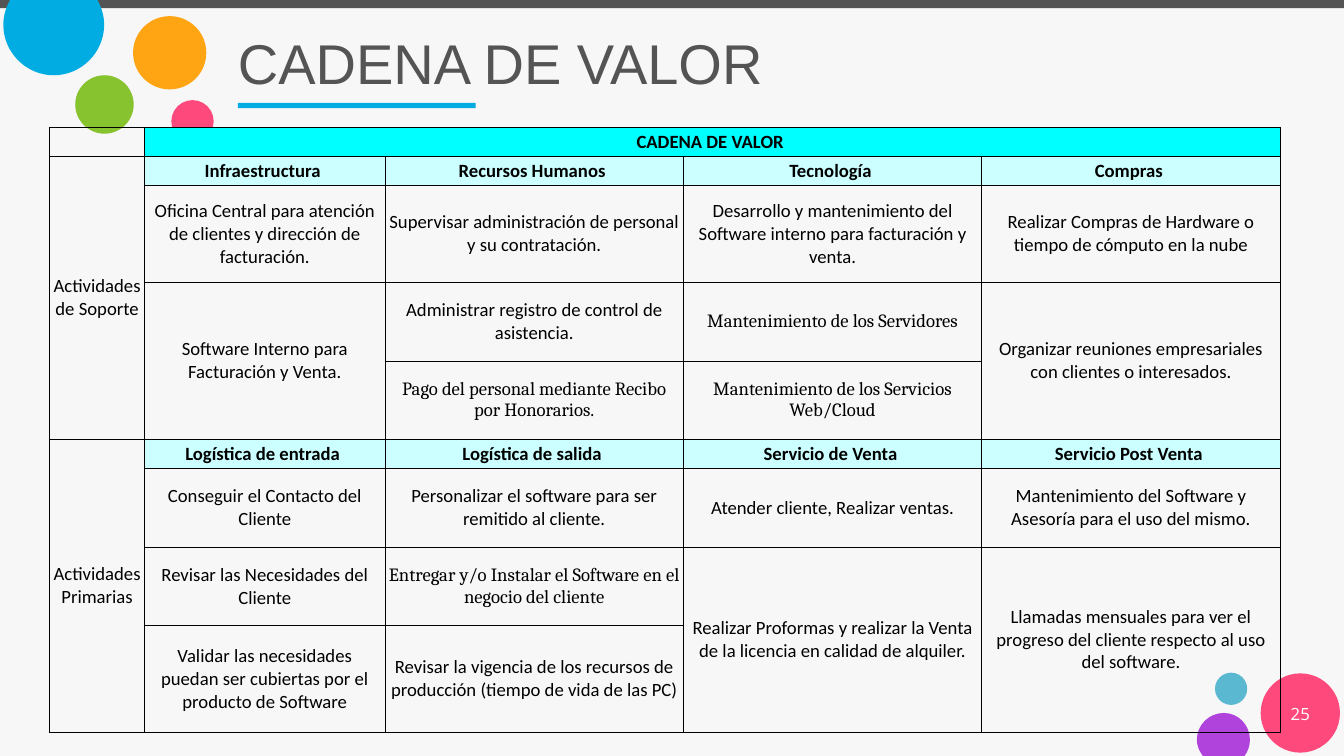
from dataclasses import dataclass

from lxml.etree import SubElement
from pptx import Presentation
from pptx.dml.color import RGBColor
from pptx.enum.shapes import MSO_SHAPE as Preset
from pptx.enum.text import MSO_ANCHOR as Anchor, PP_ALIGN as Align
from pptx.oxml.ns import qn
from pptx.shapes.base import BaseShape
from pptx.slide import Slide
from pptx.table import Table, _Cell as TableCell
from pptx.text.text import TextFrame
from pptx.util import Emu, Pt

PX = 9144
WIDTH, HEIGHT = 2000, 1125


@dataclass(frozen=True)
class Theme:
    background: str = "F7F7F7"
    gray: str = "545454"
    blue: str = "00ACE2"
    pink: str = "FD497C"
    green: str = "87C32F"
    orange: str = "FFA513"
    teal: str = "5BB8D1"
    purple: str = "B143DD"
    black: str = "000000"
    white: str = "FFFFFF"
    banner: str = "00FFFF"
    heading: str = "CCFFFF"
    title_size: int = 60
    cell_size: int = 20
    number_size: int = 18
    border_width: float = 0.75


THEME = Theme()


@dataclass(frozen=True)
class Box:
    left: int
    top: int
    width: int
    height: int

    def emu(self) -> list[Emu]:
        return [px(value) for value in (self.left, self.top, self.width, self.height)]


@dataclass(frozen=True)
class Bubble:
    x: int
    y: int
    diameter: int
    color: str


@dataclass(frozen=True)
class CutBubble:
    edge: list[tuple[int, int]]
    curves: list[tuple[int, int]]
    color: str


@dataclass(frozen=True)
class Entry:
    text: str
    fill: str | None = None
    font: str = "Calibri"
    rows: int = 1
    columns: int = 1


def px(value: float) -> Emu:
    return Emu(round(value * PX))


def heading(text: str) -> Entry:
    return Entry(text + " ", fill=THEME.heading)


def serif(text: str) -> Entry:
    return Entry(text, font="Cambria")


BUBBLES = [
    Bubble(255, 149, 63, THEME.pink),
    CutBubble([(15, 0), (145, 0)],
              [(151, 11), (155, 23), (155, 37), (155, 78), (121, 112), (80, 112),
               (39, 112), (5, 78), (5, 37), (5, 23), (9, 11), (15, 0)], THEME.blue),
    Bubble(112, 112, 87, THEME.green),
    Bubble(198, 24, 109, THEME.orange),
    Bubble(1808, 1001, 48, THEME.teal),
    Bubble(1876, 1002, 118, THEME.pink),
    CutBubble([(1852, HEIGHT), (1790, HEIGHT)],
              [(1785, 1118), (1781, 1110), (1781, 1101), (1781, 1079), (1799, 1061),
               (1821, 1061), (1843, 1061), (1860, 1079), (1860, 1101), (1860, 1110),
               (1857, 1118), (1852, HEIGHT)], THEME.purple),
]

COLUMNS = [141, 358, 444, 444, 444]
ROWS = [43, 43, 144, 117, 117, 43, 117, 117, 159]
ENTRIES = [
    [None, Entry("CADENA DE VALOR ", fill=THEME.banner, columns=4), None, None, None],
    [Entry("Actividades de Soporte", rows=4), heading("Infraestructura"),
     heading("Recursos Humanos"), heading("Tecnología"), heading("Compras")],
    [None, Entry("Oficina Central para atención de clientes y dirección de facturación."),
     Entry("Supervisar administración de personal y su contratación."),
     Entry("Desarrollo y mantenimiento del Software interno para facturación y venta."),
     Entry("Realizar Compras de Hardware o tiempo de cómputo en la nube")],
    [None, Entry("Software Interno para Facturación y Venta.", rows=2),
     Entry("Administrar registro de control de asistencia."),
     serif("Mantenimiento de los Servidores"),
     Entry("Organizar reuniones empresariales con clientes o interesados.", rows=2)],
    [None, None, serif("Pago del personal mediante Recibo por Honorarios."),
     serif("Mantenimiento de los Servicios Web/Cloud"), None],
    [Entry("Actividades Primarias", rows=4), heading("Logística de entrada"),
     heading("Logística de salida"), heading("Servicio de Venta"),
     heading("Servicio Post Venta")],
    [None, Entry("Conseguir el Contacto del Cliente"),
     Entry("Personalizar el software para ser remitido al cliente."),
     Entry("Atender cliente, Realizar ventas."),
     Entry("Mantenimiento del Software y Asesoría para el uso del mismo.")],
    [None, Entry("Revisar las Necesidades del Cliente"),
     serif("Entregar y/o Instalar el Software en el negocio del cliente"),
     Entry("Realizar Proformas y realizar la Venta de la licencia en calidad de alquiler.",
           rows=2),
     Entry("Llamadas mensuales para ver el progreso del cliente respecto al uso del software.",
           rows=2)],
    [None, Entry("Validar las necesidades puedan ser cubiertas por el producto de Software"),
     Entry("Revisar la vigencia de los recursos de producción (tiempo de vida de las PC)"),
     None, None],
]


def write(frame: TextFrame, text: str, *, size: int, font: str, color: str,
          bold: bool = False, align: Align = Align.CENTER) -> None:
    paragraph = frame.paragraphs[0]
    paragraph.alignment = align
    run = paragraph.add_run()
    run.text = text
    run.font.size = Pt(size)
    run.font.name = font
    run.font.bold = bold
    run.font.color.rgb = RGBColor.from_string(color)


def set_margins(target: TextFrame | TableCell, horizontal: int, vertical: int) -> None:
    target.margin_left = target.margin_right = px(horizontal)
    target.margin_top = target.margin_bottom = px(vertical)
    target.vertical_anchor = Anchor.MIDDLE


def draw_shape(slide: Slide, preset: Preset, box: Box, color: str) -> None:
    paint(slide.shapes.add_shape(preset, *box.emu()), color)


def paint(shape: BaseShape, color: str) -> None:
    shape.shadow.inherit = False
    shape.fill.solid()
    shape.fill.fore_color.rgb = RGBColor.from_string(color)
    shape.line.fill.background()


def draw_cut_bubble(slide: Slide, bubble: CutBubble) -> None:
    start, *points = bubble.edge + bubble.curves
    builder = slide.shapes.build_freeform(*start, scale=PX)
    builder.add_line_segments(points, close=True)
    shape = builder.convert_to_shape()
    lines = list(shape._element.iter(qn("a:lnTo")))[1:]
    for first, second, third in zip(lines[::3], lines[1::3], lines[2::3]):
        curve = SubElement(first.getparent(), qn("a:cubicBezTo"))
        first.addprevious(curve)
        for line in (first, second, third):
            curve.append(line[0])
            line.getparent().remove(line)
    paint(shape, bubble.color)


def draw_text(slide: Slide, box: Box, text: str, **text_format) -> None:
    frame = slide.shapes.add_textbox(*box.emu()).text_frame
    frame.word_wrap = True
    set_margins(frame, 18, 9)
    write(frame, text, **text_format)


def draw_borders(cell: TableCell) -> None:
    properties = cell._tc.get_or_add_tcPr()
    for side in ("a:lnL", "a:lnR", "a:lnT", "a:lnB"):
        line = SubElement(properties, qn(side), w=str(Pt(THEME.border_width)))
        fill = SubElement(line, qn("a:solidFill"))
        SubElement(fill, qn("a:srgbClr"), val=THEME.black)


def fill_cell(table: Table, row: int, column: int, entry: Entry | None) -> None:
    cell = table.cell(row, column)
    draw_borders(cell)
    set_margins(cell, 5, 0)
    if entry is None or entry.fill is None:
        cell.fill.background()
    else:
        cell.fill.solid()
        cell.fill.fore_color.rgb = RGBColor.from_string(entry.fill)
    if entry is None:
        return
    write(cell.text_frame, entry.text, size=THEME.cell_size, font=entry.font,
          color=THEME.black, bold=entry.fill is not None)
    if entry.rows * entry.columns > 1:
        cell.merge(table.cell(row + entry.rows - 1, column + entry.columns - 1))


def draw_table(slide: Slide, left: int, top: int) -> None:
    box = Box(left, top, sum(COLUMNS), sum(ROWS))
    table = slide.shapes.add_table(len(ROWS), len(COLUMNS), *box.emu()).table
    table.first_row = table.horz_banding = False
    for column, width in zip(table.columns, COLUMNS):
        column.width = px(width)
    for row, height in zip(table.rows, ROWS):
        row.height = px(height)
    for row, entries in enumerate(ENTRIES):
        for column, entry in enumerate(entries):
            fill_cell(table, row, column, entry)


def main() -> None:
    presentation = Presentation()
    presentation.slide_width, presentation.slide_height = px(WIDTH), px(HEIGHT)
    slide = presentation.slides.add_slide(presentation.slide_layouts[6])
    slide.background.fill.solid()
    slide.background.fill.fore_color.rgb = RGBColor.from_string(THEME.background)
    draw_shape(slide, Preset.RECTANGLE, Box(0, 0, WIDTH, 12), THEME.gray)
    for bubble in BUBBLES:
        if isinstance(bubble, CutBubble):
            draw_cut_bubble(slide, bubble)
        else:
            box = Box(bubble.x, bubble.y, bubble.diameter, bubble.diameter)
            draw_shape(slide, Preset.OVAL, box, bubble.color)
    draw_shape(slide, Preset.RECTANGLE, Box(354, 153, 354, 8), THEME.blue)
    draw_text(slide, Box(336, 27, 1569, 132), "CADENA DE VALOR", size=THEME.title_size,
              font="Arial", color=THEME.gray, align=Align.LEFT)
    draw_text(slide, Box(1876, 1032, 118, 60), "25", size=THEME.number_size,
              font="Open Sans", color=THEME.white)
    draw_table(slide, 74, 190)
    presentation.save("out.pptx")


if __name__ == "__main__":
    main()
